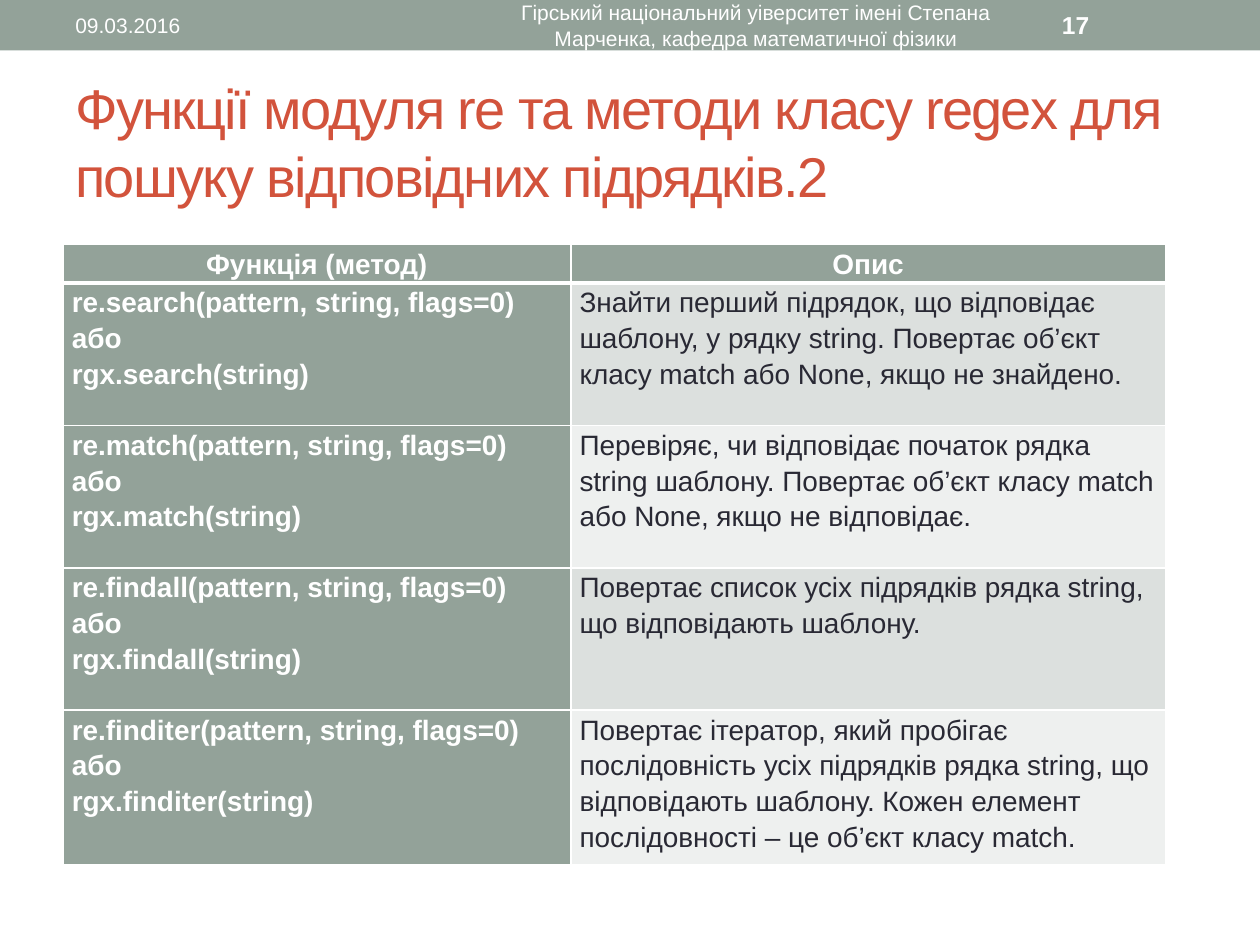
import pptx
import pptx.dml.color
import pptx.enum.text
import pptx.enum.shapes
import pptx.oxml
import pptx.oxml.ns
import pptx.util
from pptx.util import Inches

RGBColor = pptx.dml.color.RGBColor
Align = pptx.enum.text.PP_ALIGN
Anchor = pptx.enum.text.MSO_ANCHOR

SAGE = RGBColor(0x93, 0xA2, 0x99)
BRICK = RGBColor(0xD2, 0x53, 0x3C)
INK = RGBColor(0x29, 0x29, 0x34)
WHITE = RGBColor(0xFF, 0xFF, 0xFF)
BAND_DARK = RGBColor(0xDC, 0xE0, 0xDE)
BAND_LIGHT = RGBColor(0xEE, 0xF0, 0xEF)


class SlideBuilder:
    font = "Arial"
    table_size = 16
    table_spacing = 1.15

    def __init__(self, slide):
        self.slide = slide

    def add_span(self, para, text, size, color, bold=False, tracking=None):
        span = para.add_run()
        span.text = text
        span.font.name = self.font
        span.font.size = pptx.util.Pt(size)
        span.font.bold = bold
        span.font.color.rgb = color
        if tracking is not None:
            span.font._element.set("spc", str(tracking * 100))

    def add_bar(self, left, top, width, height, color):
        bar = self.slide.shapes.add_shape(
            pptx.enum.shapes.MSO_SHAPE.RECTANGLE,
            Inches(left), Inches(top), Inches(width), Inches(height))
        bar.shadow.inherit = False
        bar.fill.solid()
        bar.fill.fore_color.rgb = color
        bar.line.fill.background()

    def add_text(self, left, top, width, height, text, size, color,
                 align=Align.LEFT, bold=False, tracking=None):
        box = self.slide.shapes.add_textbox(
            Inches(left), Inches(top), Inches(width), Inches(height))
        frame = box.text_frame
        frame.word_wrap = True
        frame.vertical_anchor = Anchor.MIDDLE
        para = frame.paragraphs[0]
        para.alignment = align
        self.add_span(para, text, size, color, bold, tracking)

    def fill_cell(self, cell, lines, fill, color, bold, align, bottom_width):
        cell.margin_left = cell.margin_right = Inches(0.07)
        cell.margin_top = cell.margin_bottom = 0
        frame = cell.text_frame
        for index, line in enumerate(lines):
            para = frame.add_paragraph() if index else frame.paragraphs[0]
            para.alignment = align
            para.line_spacing = self.table_spacing
            self.add_span(para, line, self.table_size, color, bold)
        # Borders come before the fill in the cell properties
        properties = cell._tc.get_or_add_tcPr()
        for side in "LRTB":
            width = pptx.util.Pt(bottom_width if side == "B" else 1)
            properties.append(pptx.oxml.parse_xml(
                f'<a:ln{side} {pptx.oxml.ns.nsdecls("a")} w="{width}"><a:solidFill>'
                f'<a:srgbClr val="{WHITE}"/></a:solidFill></a:ln{side}>'))
        cell.fill.solid()
        cell.fill.fore_color.rgb = fill

    def add_table(self, left, top, widths, heights, header, rows):
        table = self.slide.shapes.add_table(
            len(heights), len(widths), Inches(left), Inches(top),
            Inches(sum(widths)), Inches(sum(heights))).table
        for column, width in zip(table.columns, widths):
            column.width = Inches(width)
        for row, height in zip(table.rows, heights):
            row.height = Inches(height)
        for index, label in enumerate(header):
            self.fill_cell(table.cell(0, index), [label], SAGE, WHITE,
                           True, Align.CENTER, 3)
        for index, (calls, description) in enumerate(rows, 1):
            band = BAND_DARK if index % 2 else BAND_LIGHT
            self.fill_cell(table.cell(index, 0), calls, SAGE, WHITE,
                           True, Align.LEFT, 1)
            self.fill_cell(table.cell(index, 1), [description], band, INK,
                           False, Align.LEFT, 1)


DESCRIPTIONS = {
    "search": "Знайти перший підрядок, що відповідає шаблону, у рядку string. "
              "Повертає об’єкт класу match або None, якщо не знайдено.",
    "match": "Перевіряє, чи відповідає початок рядка string шаблону. "
             "Повертає об’єкт класу match або None, якщо не відповідає.",
    "findall": "Повертає список усіх підрядків рядка string, "
               "що відповідають шаблону.",
    "finditer": "Повертає ітератор, який пробігає послідовність усіх підрядків "
                "рядка string, що відповідають шаблону. Кожен елемент "
                "послідовності – це об’єкт класу match.",
}


def main():
    deck = pptx.Presentation()
    deck.slide_width, deck.slide_height = Inches(10), Inches(7.5)
    page = SlideBuilder(deck.slides.add_slide(deck.slide_layouts[6]))

    # Top bar
    page.add_bar(0, 0, 10, 0.4, SAGE)

    # Title
    page.add_text(0.5, 0.58, 9, 1.08,
                  "Функції модуля re та методи класу regex для пошуку "
                  "відповідних підрядків.2", 32, BRICK, tracking=-1)

    # Table of search functions
    rows = [([f"re.{name}(pattern, string, flags=0)", "або", f"rgx.{name}(string)"],
             description) for name, description in DESCRIPTIONS.items()]
    page.add_table(0.5, 1.94, [4.03, 4.72], [0.27] + [1.13] * len(rows),
                   ["Функція (метод)", "Опис"], rows)

    # Date, department and slide number
    page.add_text(0.5, 0.02, 3.17, 0.36, "09.03.2016", 12, WHITE)
    page.add_text(3.75, 0.02, 4.5, 0.36,
                  "Гірський національний уіверситет імені Степана Марченка, "
                  "кафедра математичної фізики", 12, WHITE, Align.CENTER)
    page.add_text(8.33, 0.02, 1.17, 0.36, "17", 14, WHITE, bold=True)

    deck.save("out.pptx")


if __name__ == "__main__":
    main()
